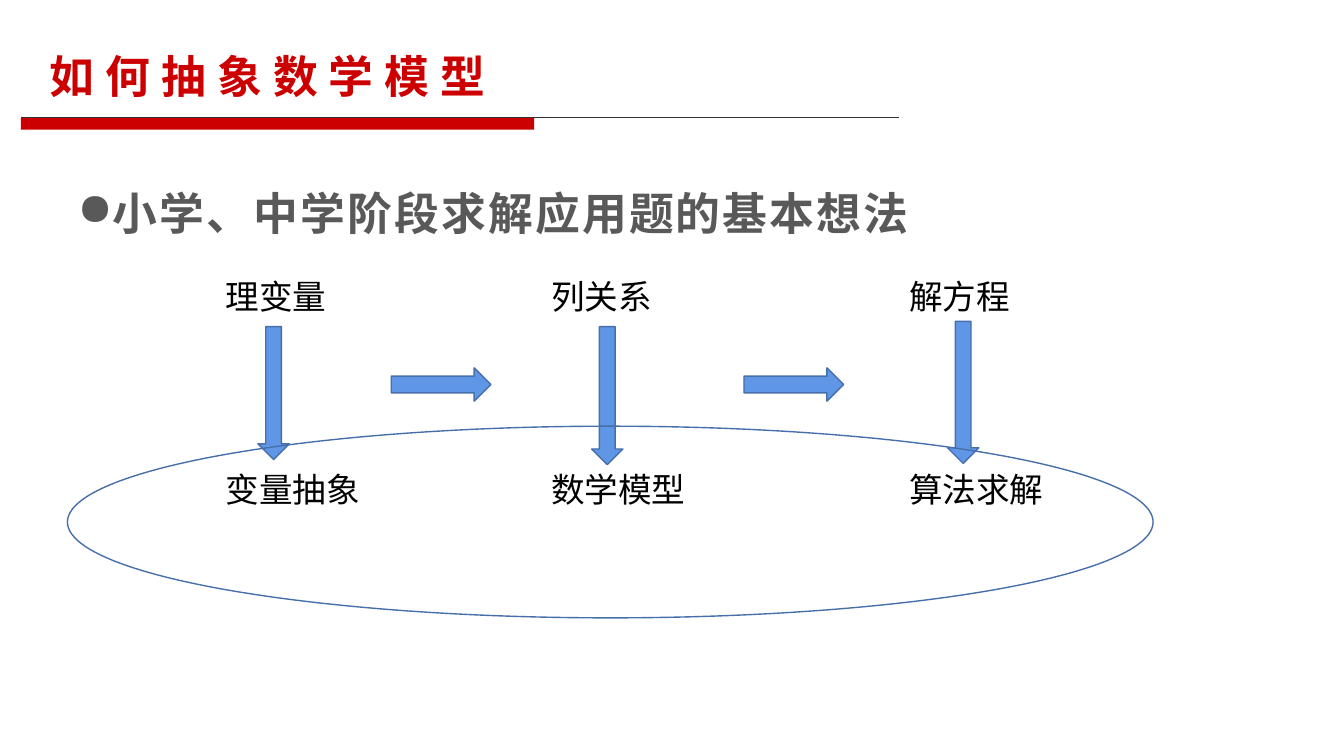
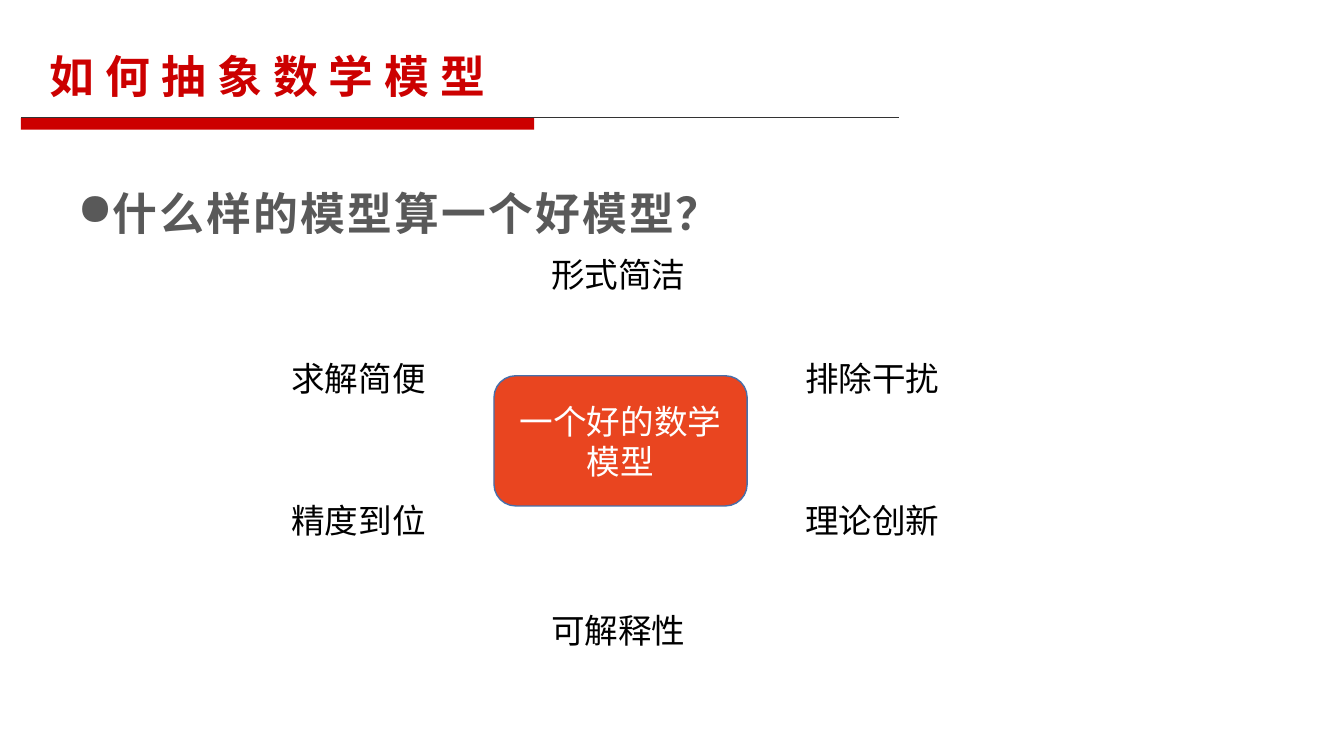
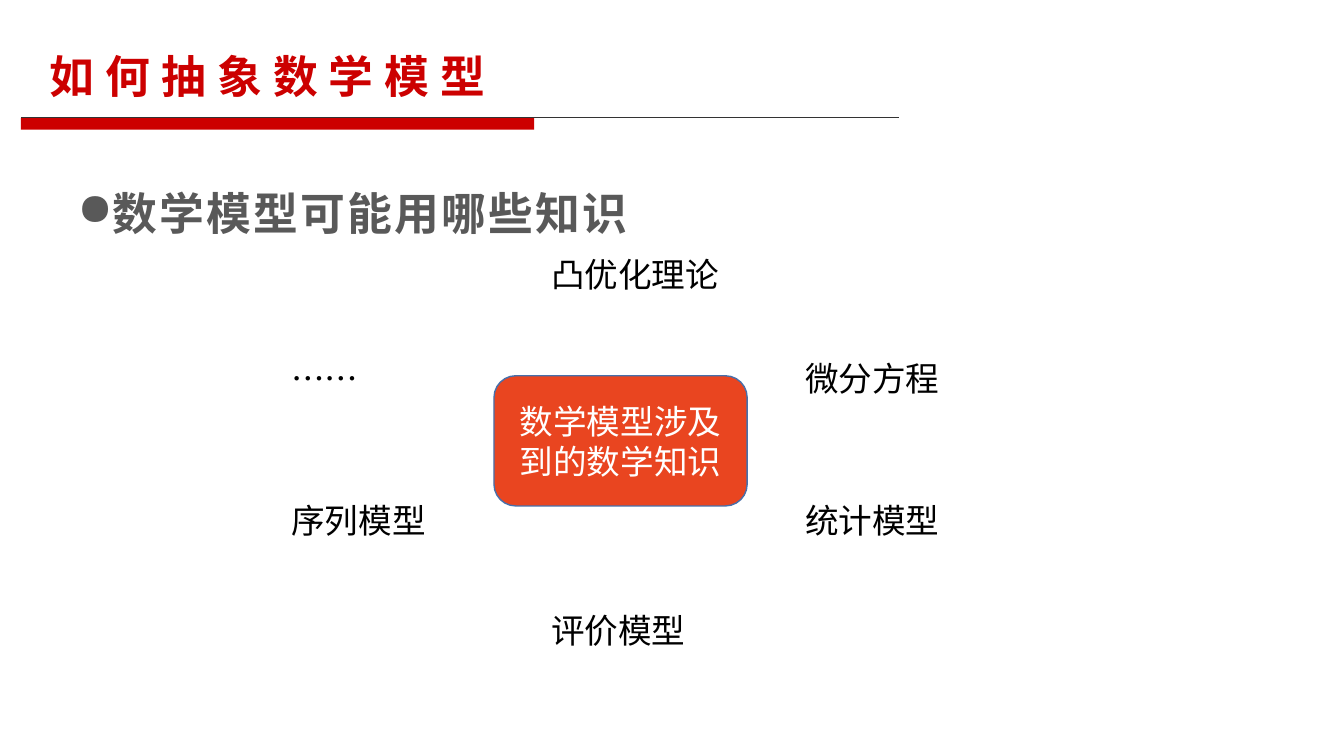
from lxml.etree import SubElement
from pptx import Presentation
from pptx.dml.color import RGBColor
from pptx.enum.shapes import MSO_CONNECTOR, MSO_SHAPE
from pptx.enum.text import MSO_ANCHOR, MSO_AUTO_SIZE, PP_ALIGN
from pptx.oxml.ns import qn
from pptx.util import Cm, Pt

FONT = "Noto Sans CJK SC"
RED, RULE, GRAY, BLACK, WHITE = "CC0000", "333333", "595959", "000000", "FFFFFF"
BLUE, OUTLINE, ORANGE = "6096E6", "476FAA", "E94520"


def color(hex_text):
    return RGBColor.from_string(hex_text)


class Deck:
    def __init__(self):
        self.presentation = Presentation()
        self.presentation.slide_width = Cm(33.87)
        self.presentation.slide_height = Cm(19.05)
        self.slide = None

    def add_slide(self, title, heading):
        layout = self.presentation.slide_layouts[5]
        self.slide = self.presentation.slides.add_slide(layout)
        self.add_heading(heading)
        self.add_band()
        self.format_title(title)

    def add_run(self, paragraph, text, size, hex_text, bold=False, spacing=0):
        """Spacing is the extra gap between letters, in points."""
        run = paragraph.add_run()
        run.text = text
        font = run.font
        font.name, font.size, font.bold = FONT, Pt(size), bold
        font.color.rgb = color(hex_text)
        properties = run._r.get_or_add_rPr()
        SubElement(properties, qn("a:ea")).set("typeface", FONT)
        if spacing:
            properties.set("spc", str(round(spacing * 100)))

    def format_title(self, text):
        title = self.slide.shapes.title
        title.left, title.top = Cm(1.22), Cm(1.19)
        title.width, title.height = Cm(11.81), Cm(1.4)
        frame = title.text_frame
        frame.auto_size = MSO_AUTO_SIZE.NONE
        frame.vertical_anchor = MSO_ANCHOR.TOP
        frame.margin_left = frame.margin_right = frame.margin_bottom = 0
        frame.margin_top = Cm(0.03)
        paragraph = frame.paragraphs[0]
        paragraph.alignment = PP_ALIGN.LEFT
        paragraph.space_before = Pt(1.1)
        paragraph._p.get_or_add_pPr().set("marL", str(Cm(0.03)))
        self.add_run(paragraph, text, 32, RED, True, 7.9)

    def add_band(self):
        left, top = 0.53, 2.97
        self.add_shape(MSO_SHAPE.RECTANGLE, left, top, 12.93, 0.3, RED, None)
        line = self.slide.shapes.add_connector(
            MSO_CONNECTOR.STRAIGHT, Cm(left), Cm(top), Cm(22.66), Cm(top))
        line.line.color.rgb = color(RULE)
        line.line.width = Pt(0.72)
        SubElement(line._element.spPr, qn("a:effectLst"))

    def add_text_box(self, left, top, width, height):
        box = self.slide.shapes.add_textbox(Cm(left), Cm(top), Cm(width), Cm(height))
        box.text_frame.word_wrap = True
        return box.text_frame.paragraphs[0]

    def add_heading(self, text):
        paragraph = self.add_text_box(1.7, 4.14, 30.48, 13.21)
        paragraph.line_spacing = 1.3
        paragraph.space_after = Pt(10)
        properties = paragraph._p.get_or_add_pPr()
        properties.set("marL", str(Cm(0.64)))
        properties.set("indent", str(-Cm(0.64)))
        SubElement(properties, qn("a:buChar")).set("char", "●")
        self.add_run(paragraph, text, 32, GRAY, True, 1.5)

    def add_label(self, text, left, top):
        self.add_run(self.add_text_box(left, top, 5.11, 1.27), text, 24, BLACK)

    def add_shape(self, kind, left, top, width, height, fill=BLUE, outline=OUTLINE):
        shape = self.slide.shapes.add_shape(
            kind, Cm(left), Cm(top), Cm(width), Cm(height))
        shape.shadow.inherit = False
        if fill:
            shape.fill.solid()
            shape.fill.fore_color.rgb = color(fill)
        else:
            shape.fill.background()
        if outline:
            shape.line.color.rgb = color(outline)
            shape.line.width = Pt(1)
        else:
            shape.line.fill.background()
        return shape

    def add_hub(self, center, labels):
        """Place a box with six labels round it, clockwise from the top."""
        left, middle, right = 7.09, 13.64, 20.04
        places = [(middle, 6.27), (right, 8.89), (right, 12.47),
                  (middle, 15.24), (left, 12.47), (left, 8.89)]
        for label, place in zip(labels, places):
            self.add_label(label, *place)
        box = self.add_shape(MSO_SHAPE.ROUNDED_RECTANGLE, 12.45, 9.47, 6.38, 3.28, ORANGE)
        frame = box.text_frame
        frame.word_wrap = True
        frame.vertical_anchor = MSO_ANCHOR.MIDDLE
        paragraph = frame.paragraphs[0]
        paragraph.alignment = PP_ALIGN.CENTER
        self.add_run(paragraph, center, 24, WHITE)


def main():
    deck = Deck()
    title = "如何抽象数学模型"

    deck.add_slide(title, "小学、中学阶段求解应用题的基本想法")
    steps = [
        ("理变量", "变量抽象", 5.44, (6.5, 8.23, 0.79, 3.35)),
        ("列关系", "数学模型", 13.64, (14.91, 8.23, 0.79, 3.48)),
        ("解方程", "算法求解", 22.66, (23.88, 8.1, 0.79, 3.58)),
    ]
    for school_step, model_step, left, arrow in steps:
        deck.add_label(school_step, left, 6.83)
        deck.add_label(model_step, left, 11.68)
        deck.add_shape(MSO_SHAPE.DOWN_ARROW, *arrow)
    deck.add_shape(MSO_SHAPE.OVAL, 1.7, 10.74, 27.36, 4.83, None)
    for left in (9.86, 18.75):
        deck.add_shape(MSO_SHAPE.RIGHT_ARROW, left, 9.27, 2.51, 0.84)

    deck.add_slide(title, "什么样的模型算一个好模型？")
    deck.add_hub("一个好的数学模型", [
        "形式简洁", "排除干扰", "理论创新", "可解释性", "精度到位", "求解简便"])

    deck.add_slide(title, "数学模型可能用哪些知识")
    deck.add_hub("数学模型涉及到的数学知识", [
        "凸优化理论", "微分方程", "统计模型", "评价模型", "序列模型", "……"])

    deck.presentation.save("out.pptx")


if __name__ == "__main__":
    main()
